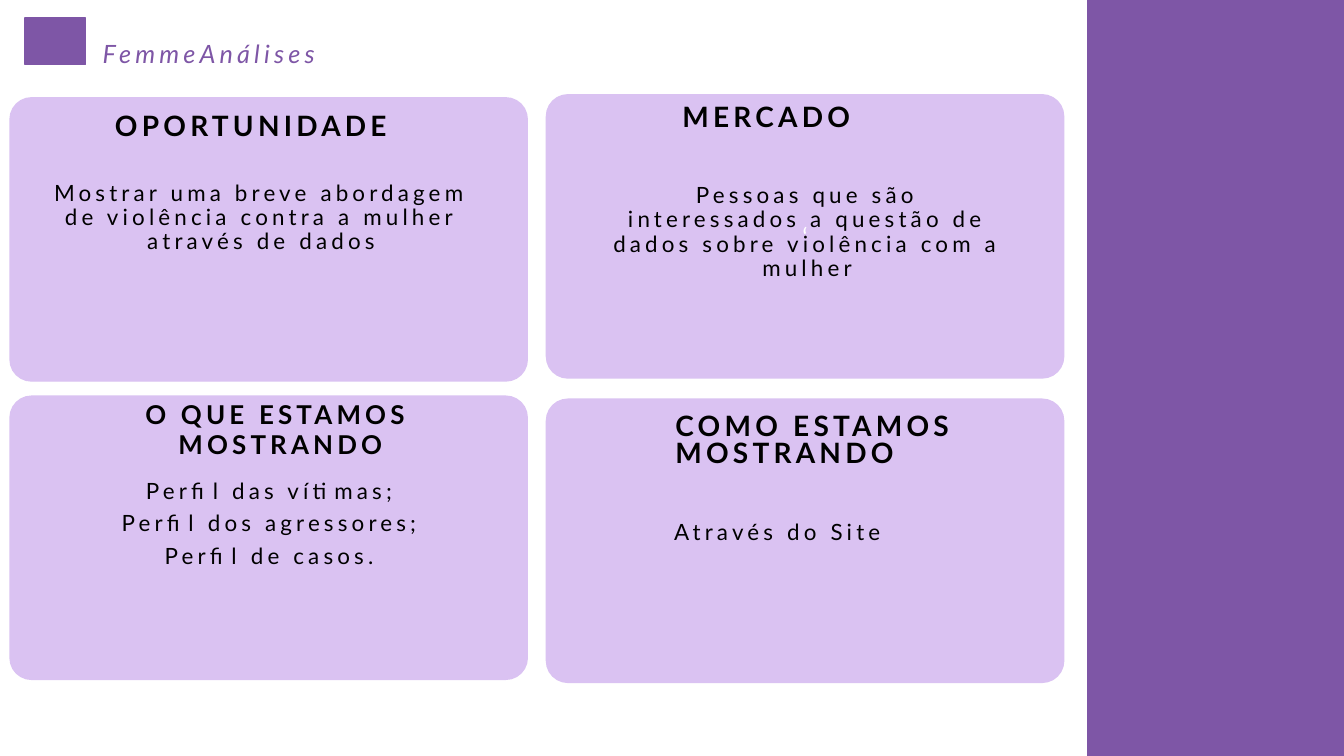
from pptx import Presentation
from pptx.dml.color import RGBColor
from pptx.enum.shapes import MSO_SHAPE as SHAPE
from pptx.enum.text import MSO_ANCHOR as ANCHOR, MSO_AUTO_SIZE as AUTO, PP_ALIGN as ALIGN
from pptx.oxml.ns import qn
from pptx.util import Inches, Pt
from lxml import etree

COLORS = {"purple": "7E56A6", "lilac": "DAC2F2", "black": "000000", "white": "FFFFFF"}
FONT = "Lato"

# Text styles: run font, paragraph and spacing settings
HEADING = {"size": 20, "bold": True}
BODY = {"size": 16, "align": ALIGN.CENTER}

CARD_SIZE = (5.13, 2.81)
CARDS = [(0.1, 0.97), (5.42, 0.94), (0.1, 3.93), (5.42, 3.96)]


def color(name):
    return RGBColor.from_string(COLORS[name])


def add_block(s, kind, box, fill):
    """Filled shape with a line of the same colour."""
    sp = s.shapes.add_shape(kind, *map(Inches, box))
    sp.shadow.inherit = False
    sp.fill.solid()
    sp.fill.fore_color.rgb = color(fill)
    sp.line.color.rgb = color(fill)
    sp.line.width = Pt(1)
    return sp


def add_card(s, place):
    card = add_block(s, SHAPE.ROUNDED_RECTANGLE, (*place, *CARD_SIZE), "lilac")
    card.adjustments[0] = 0.076
    return card


def write(sp, lines, size, bold=False, italic=False, ink="black", spacing=3,
          align=ALIGN.LEFT, line_spacing=0.9, after=6, anchor=ANCHOR.TOP):
    tf = sp.text_frame
    frame = {"word_wrap": True, "auto_size": AUTO.NONE, "vertical_anchor": anchor,
             "margin_left": Inches(0.1), "margin_right": Inches(0.1),
             "margin_top": Inches(0.05), "margin_bottom": Inches(0.05)}
    para = {"alignment": align, "line_spacing": line_spacing,
            "space_before": Pt(0), "space_after": Pt(after)}
    font = {"name": FONT, "size": Pt(size), "bold": bold, "italic": italic}
    for key, value in frame.items():
        setattr(tf, key, value)
    for i, line in enumerate(lines):
        p = tf.add_paragraph() if i else tf.paragraphs[0]
        for key, value in para.items():
            setattr(p, key, value)
        r = p.add_run()
        r.text = line
        for key, value in font.items():
            setattr(r.font, key, value)
        r.font.color.rgb = color(ink)
        r.font._element.set("spc", str(spacing * 100))


def add_text(s, box, *lines, **style):
    write(s.shapes.add_textbox(*map(Inches, box)), lines, **style)


def fill_placeholder(s, sp, box, *lines, **style):
    """Move a placeholder in front of the cards and write in it without bullets."""
    s.shapes._spTree.append(sp._element)
    for key, value in zip(("left", "top", "width", "height"), box):
        setattr(sp, key, Inches(value))
    write(sp, lines, **style)
    for p in sp.text_frame.paragraphs:
        pPr = p._p.get_or_add_pPr()
        pPr.set("marL", "0")
        pPr.set("indent", "0")
        etree.SubElement(pPr, qn("a:buNone"))


def main():
    prs = Presentation()
    prs.slide_width, prs.slide_height = Inches(13.33), Inches(7.5)
    s = prs.slides.add_slide(prs.slide_layouts[1])
    title, body = s.placeholders[0], s.placeholders[1]

    # Cards and side band
    cards = [add_card(s, place) for place in CARDS]
    write(cards[1], ["‘"], 18, ink="white", spacing=0, align=ALIGN.CENTER,
          line_spacing=1.0, after=0, anchor=ANCHOR.MIDDLE)
    add_block(s, SHAPE.RECTANGLE, (10.79, 0, 2.54, 7.5), "purple")

    # Header: plain mark and project name
    add_block(s, SHAPE.RECTANGLE, (0.25, 0.18, 0.6, 0.46), "purple")
    add_text(s, (0.92, 0.33, 2.86, 0.44), "FemmeAnálises", size=18, italic=True,
             ink="purple", anchor=ANCHOR.MIDDLE)

    # Opportunity
    fill_placeholder(s, title, (1.04, 1.06, 3.48, 0.68), "OPORTUNIDADE", **HEADING)
    add_text(s, (0.39, 1.76, 4.4, 1.67),
             "Mostrar uma breve abordagem de violência contra a mulher através de dados",
             **BODY)

    # Market
    add_text(s, (6.67, 0.98, 3.48, 0.68), "MERCADO", **HEADING)
    add_text(s, (5.97, 1.78, 4.07, 1.56),
             "Pessoas que são interessados a questão de dados sobre violência com a mulher",
             **BODY)

    # What is shown
    add_text(s, (-0.13, 3.99, 5.82, 0.65), "O QUE ESTAMOS ", "MOSTRANDO",
             size=18.5, bold=True, align=ALIGN.CENTER, line_spacing=0.7)
    fill_placeholder(s, body, (0.2, 4.71, 4.94, 2), "Perfil das vítimas;",
                     "Perfil dos agressores;", "Perfil de casos.", **BODY)

    # How it is shown
    add_text(s, (6.6, 4.07, 3.48, 0.68), "COMO ESTAMOS MOSTRANDO",
             line_spacing=0.8, **HEADING)
    add_text(s, (5.97, 5.12, 3.48, 0.91), "Através do Site", **BODY)

    prs.save("out.pptx")


if __name__ == "__main__":
    main()
